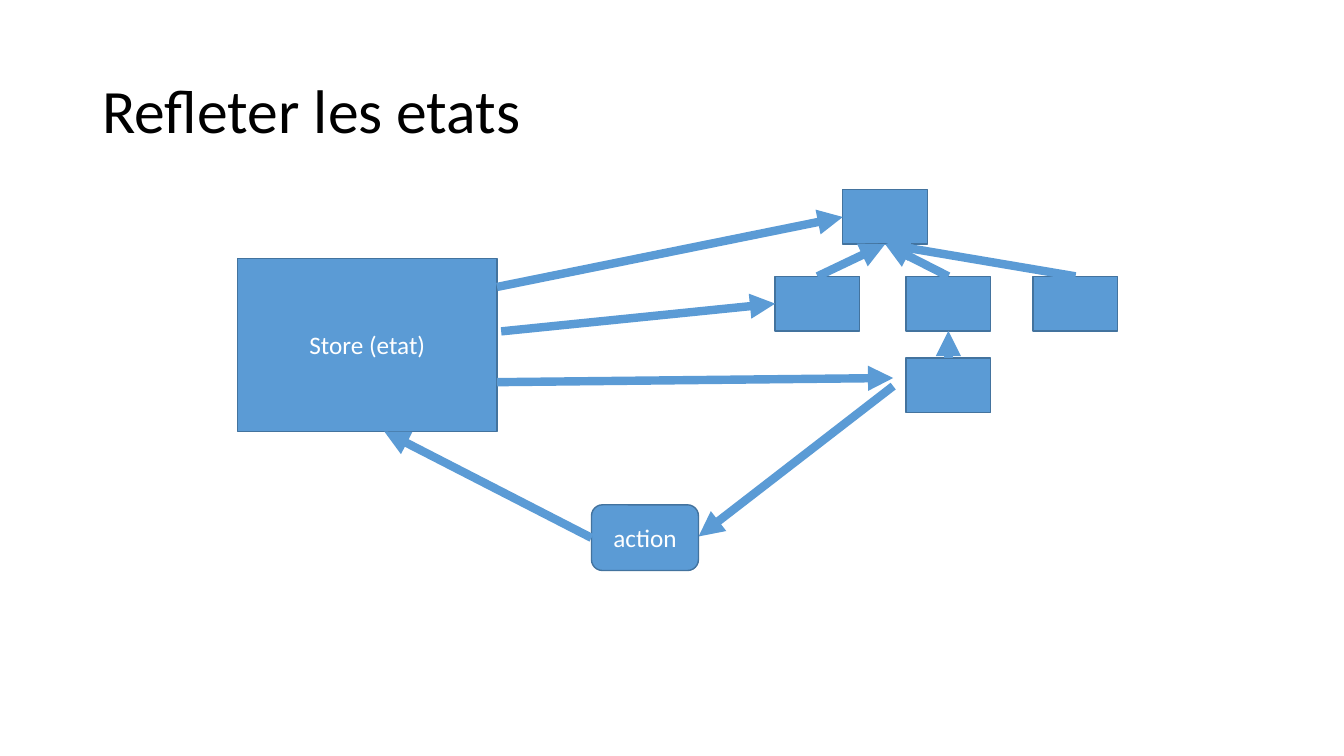
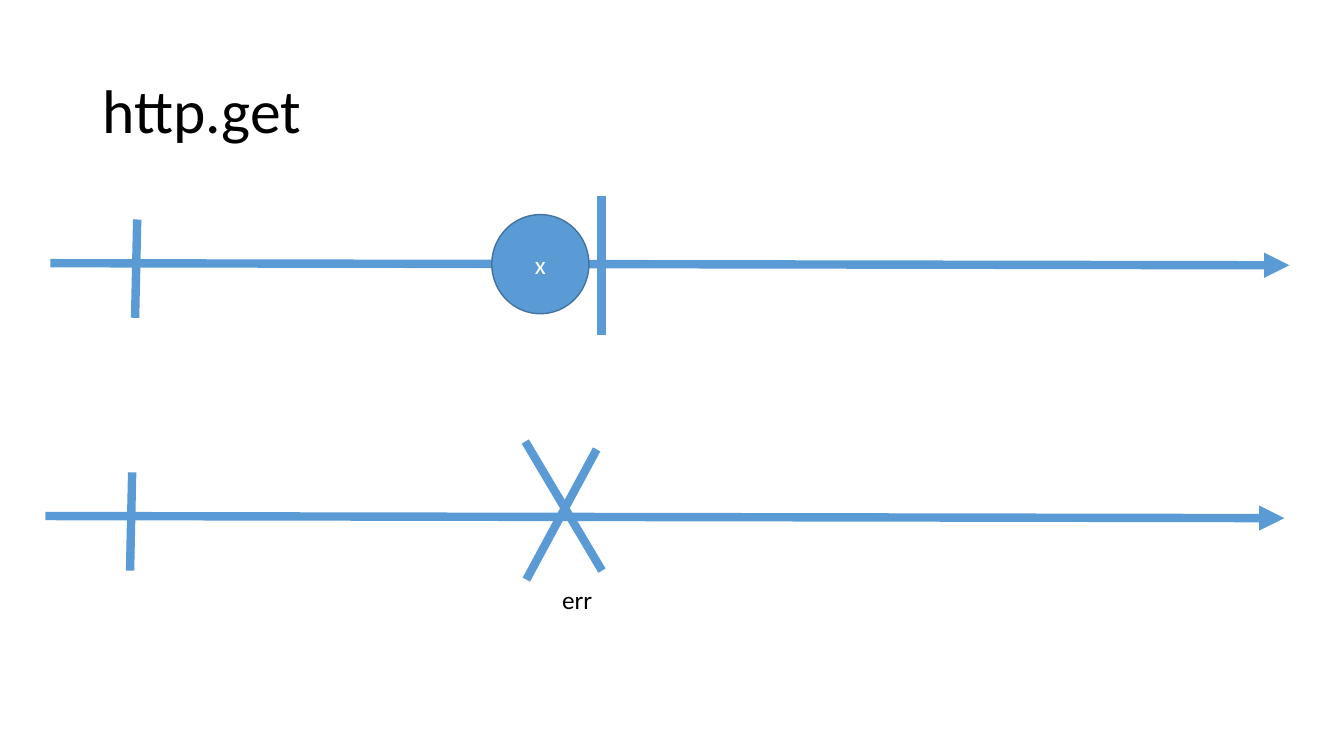
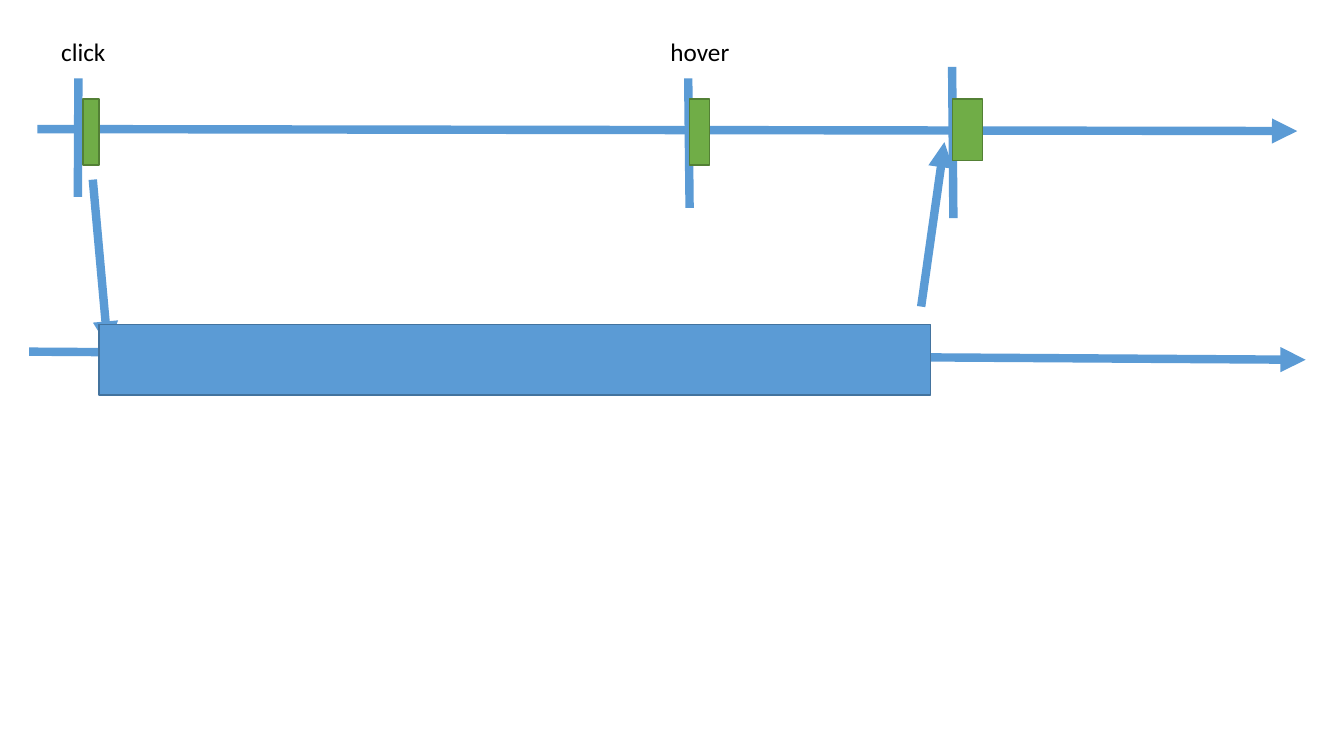
"""Build three slides on state flow and event timelines."""
from lxml import etree
from pptx import Presentation
from pptx.dml.color import RGBColor
from pptx.enum import shapes, text
from pptx.oxml.ns import qn
from pptx.util import Pt

COLORS = {
    "blue": "5B9BD5",
    "blue_edge": "43739E",
    "green": "70AD47",
    "green_edge": "538035",
    "black": "000000",
    "white": "FFFFFF",
}
FONT = "Calibri"
TITLE_ONLY, BLANK = 5, 6
RECT = shapes.MSO_SHAPE.RECTANGLE
NODE_W, NODE_H = 60.5, 39


def rgb(name):
    return RGBColor.from_string(COLORS[name])


def set_font(p, size, color):
    p.font.name = FONT
    p.font.size = Pt(size)
    p.font.color.rgb = rgb(color)


def add_slide(prs, title=None):
    s = prs.slides.add_slide(prs.slide_layouts[BLANK if title is None else TITLE_ONLY])
    if title is not None:
        sp = s.shapes.title
        sp.left, sp.top, sp.width, sp.height = Pt(66), Pt(28.75), Pt(828), Pt(104.4)
        tf = sp.text_frame
        tf.text = title
        tf.vertical_anchor = text.MSO_ANCHOR.MIDDLE
        p = tf.paragraphs[0]
        p.alignment = text.PP_ALIGN.LEFT
        p.line_spacing = 0.9
        set_font(p, 44, "black")
    return s


def add_box(s, x, y, w, h, label="", kind=RECT, color="blue"):
    sp = s.shapes.add_shape(kind, Pt(x), Pt(y), Pt(w), Pt(h))
    sp.shadow.inherit = False
    sp.fill.solid()
    sp.fill.fore_color.rgb = rgb(color)
    sp.line.color.rgb = rgb(color + "_edge")
    sp.line.width = Pt(1)
    if label:
        tf = sp.text_frame
        tf.text = label
        tf.vertical_anchor = text.MSO_ANCHOR.MIDDLE
        p = tf.paragraphs[0]
        p.alignment = text.PP_ALIGN.CENTER
        set_font(p, 18, "white")


def add_line(s, x1, y1, x2, y2):
    line = s.shapes.add_connector(
        shapes.MSO_CONNECTOR.STRAIGHT, Pt(x1), Pt(y1), Pt(x2), Pt(y2))
    line.line.color.rgb = rgb("blue")
    line.line.width = Pt(6)
    etree.SubElement(line._element.spPr, qn("a:effectLst"))
    return line


def add_arrow(s, x1, y1, x2, y2):
    arrow = add_line(s, x1, y1, x2, y2)
    ln = arrow._element.spPr.find(qn("a:ln"))
    etree.SubElement(ln, qn("a:tailEnd"), type="triangle")


def add_label(s, x, y, w, label):
    sp = s.shapes.add_textbox(Pt(x), Pt(y), Pt(w), Pt(28.8))
    tf = sp.text_frame
    tf.word_wrap = False
    tf.auto_size = text.MSO_AUTO_SIZE.SHAPE_TO_FIT_TEXT
    tf.text = label
    set_font(tf.paragraphs[0], 18, "black")


def add_tree(s):
    root, left, middle, right, leaf = nodes = [
        (602, 135.4), (553.7, 197.4), (647.2, 197.4), (738, 197.4), (647.2, 255.8)]
    for x, y in nodes:
        add_box(s, x, y, NODE_W, NODE_H)
    for child, parent in [(left, root), (middle, root), (right, root), (leaf, middle)]:
        add_arrow(s, child[0] + NODE_W / 2, child[1],
                  parent[0] + NODE_W / 2, parent[1] + NODE_H)


def add_request_axis(s, dx=0, dy=0):
    add_arrow(s, 36 + dx, 188 + dy, 921 + dx, 189.5 + dy)
    add_line(s, 98 + dx, 156.8 + dy, 96.5 + dx, 227 + dy)


def state_slide(prs):
    s = add_slide(prs, "Refleter les etats")
    add_tree(s)
    add_box(s, 169.8, 184.5, 185.2, 123.6, "Store (etat)")
    add_arrow(s, 638, 275.8, 499, 383.2)
    add_box(s, 422.5, 360.6, 76.4, 46.9, "action", shapes.MSO_SHAPE.ROUNDED_RECTANGLE)
    add_arrow(s, 422.5, 384.2, 274.5, 308.2)
    for start, end in [((355, 205), (602, 155)),
                       ((358, 236.7), (553.7, 216.9)),
                       ((355, 273), (638, 270))]:
        add_arrow(s, *start, *end)


def request_slide(prs):
    s = add_slide(prs, "http.get")
    add_request_axis(s)
    add_box(s, 351.3, 153.3, 69.4, 70.8, "x", shapes.MSO_SHAPE.OVAL)
    add_line(s, 429.8, 140, 429.8, 239)
    add_request_axis(s, -3.6, 180.6)
    add_line(s, 426.2, 321, 376, 414)
    add_line(s, 375.2, 315.4, 430, 407.6)
    add_label(s, 394.5, 414, 36, "err")


def event_slide(prs):
    s = add_slide(prs)
    add_arrow(s, 26.7, 92.2, 926.6, 93.6)
    add_line(s, 56, 56, 55.6, 140.6)
    add_line(s, 491.6, 56, 492.6, 148.5)
    add_box(s, 59.2, 70.8, 11.5, 47, color="green")
    add_label(s, 36.6, 22.5, 46.8, "click")
    add_label(s, 471.8, 22.5, 56.9, "hover")
    add_box(s, 492.4, 70.8, 14.2, 47, color="green")
    add_arrow(s, 20.8, 251.2, 932.6, 257)
    add_arrow(s, 66.3, 128.3, 77, 247.6)
    add_box(s, 70.8, 231.8, 594, 50.4)
    add_arrow(s, 658, 219, 674.6, 101.5)
    add_line(s, 680.1, 47.8, 681, 155.8)
    add_box(s, 680.3, 70.8, 21.4, 43.8, color="green")


def main():
    prs = Presentation()
    prs.slide_width, prs.slide_height = Pt(960), Pt(540)
    state_slide(prs)
    request_slide(prs)
    event_slide(prs)
    prs.save("out.pptx")


main()
